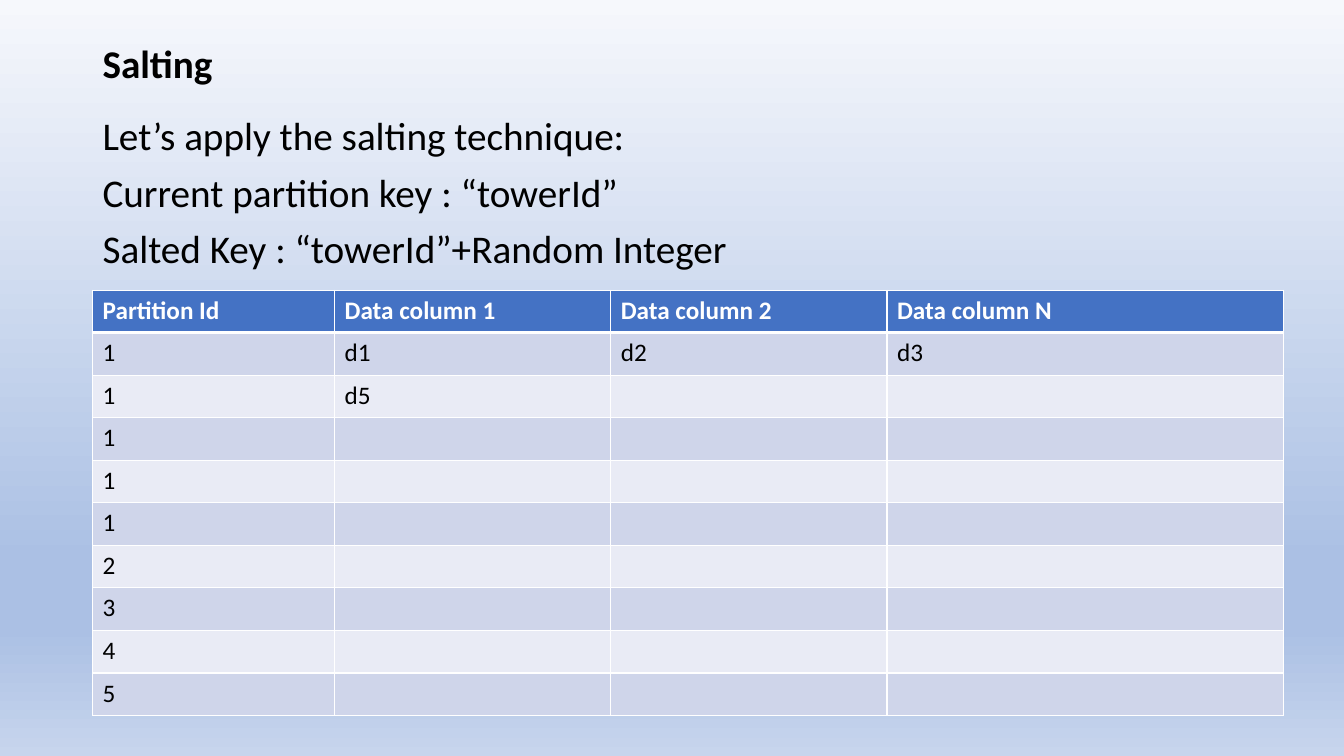
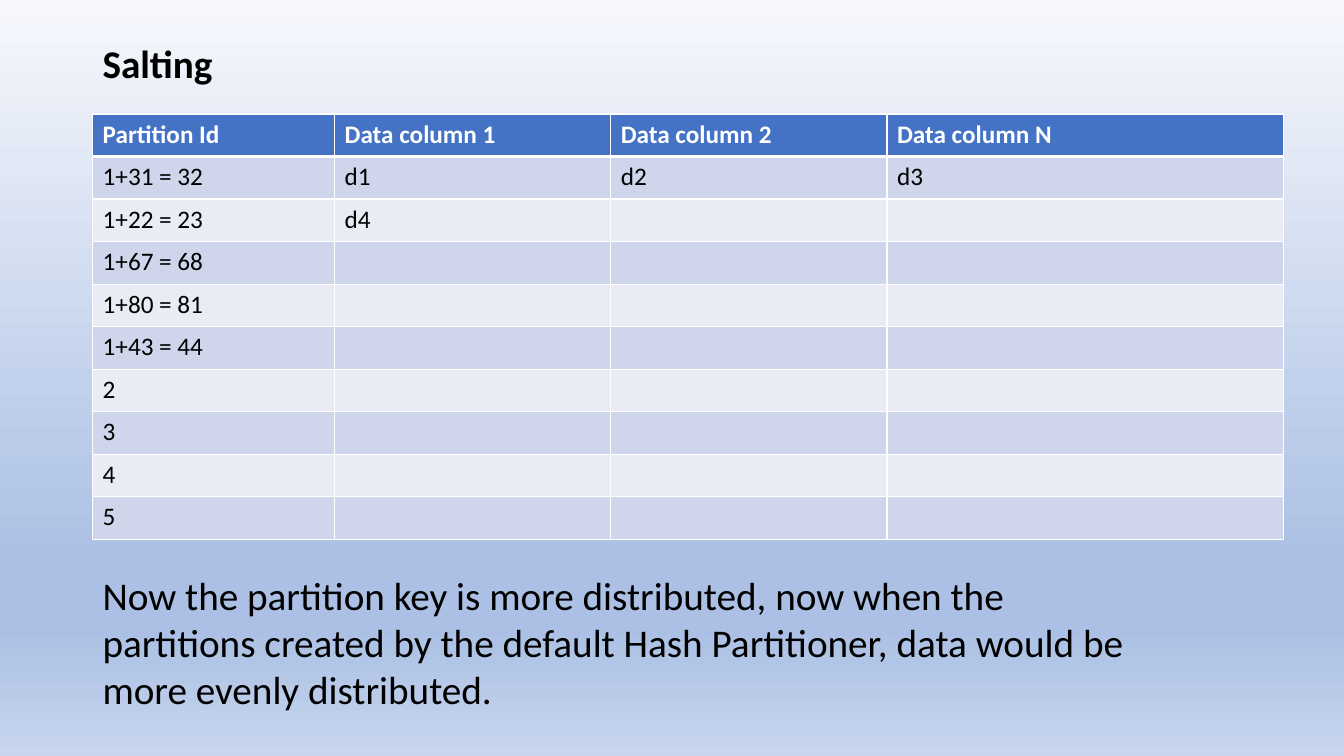
from dataclasses import dataclass

from lxml.etree import SubElement
from pptx import Presentation
from pptx.dml.color import RGBColor
from pptx.enum.text import MSO_ANCHOR
from pptx.oxml.ns import qn
from pptx.presentation import Presentation as Deck
from pptx.slide import Slide
from pptx.table import _Cell
from pptx.text.text import TextFrame
from pptx.util import Pt

FONT = "Calibri"
BLACK, WHITE, HEADER_BLUE = "000000", "FFFFFF", "4472C4"
BANDS = ("CFD5EA", "E9EBF5")
BACKDROP = ((0, "F6F8FC"), (74, "ABC0E4"), (83, "ABC0E4"), (100, "C7D5ED"))
LEFT, TEXT_WIDTH = 66.2, 828
COLUMN_WIDTHS = (172.8, 197.3, 197.3, 283.5)
ROW_HEIGHT = 30.4
HEADINGS = ("Partition Id", "Data column 1", "Data column 2", "Data column N")


@dataclass(frozen=True)
class Box:
    """Position and size in points."""

    top: float
    height: float
    width: float = TEXT_WIDTH
    left: float = LEFT


@dataclass(frozen=True)
class Page:
    """One salting slide: a partition table and the prose beside it."""

    table_top: float
    partition_ids: tuple[str, ...]
    data_rows: tuple[tuple[str, ...], ...]
    prose: tuple[str, ...]
    prose_box: Box
    line_spacing: float


PAGES = (
    Page(
        table_top=207.2,
        partition_ids=("1", "1", "1", "1", "1", "2", "3", "4", "5"),
        data_rows=(("d1", "d2", "d3"), ("d5",)),
        prose=(
            "Let’s apply the salting technique:",
            "Current partition key : “towerId”",
            "Salted Key : “towerId”+Random Integer",
        ),
        prose_box=Box(top=80, height=448.6),
        line_spacing=0.9,
    ),
    Page(
        table_top=81.4,
        partition_ids=("1+31 = 32", "1+22 = 23", "1+67 = 68", "1+80 = 81",
                       "1+43 = 44", "2", "3", "4", "5"),
        data_rows=(("d1", "d2", "d3"), ("d4",)),
        prose=(
            "Now the partition key is more distributed, now when the partitions "
            "created by the default Hash Partitioner, data would be more evenly "
            "distributed.",
        ),
        prose_box=Box(top=404.6, height=108.7, width=748),
        line_spacing=1.0,
    ),
)


def rgb(value: str) -> RGBColor:
    """Turn a hex string into a colour."""
    return RGBColor.from_string(value)


def write_text(frame: TextFrame, *lines: str, size: float = 28, color: str = BLACK,
               bold: bool = False, line_spacing: float = 1.0, gap: float = 10) -> None:
    """Fill a text frame with one formatted paragraph per line."""
    for index, line in enumerate(lines):
        paragraph = frame.add_paragraph() if index else frame.paragraphs[0]
        paragraph.line_spacing = line_spacing
        paragraph.space_before = Pt(gap if index else 0)
        run = paragraph.add_run()
        run.text = line
        run.font.name, run.font.size, run.font.bold = FONT, Pt(size), bold
        run.font.color.rgb = rgb(color)


def add_frame(slide: Slide, box: Box) -> TextFrame:
    """Add a wrapping text box and return its text frame."""
    frame = slide.shapes.add_textbox(
        Pt(box.left), Pt(box.top), Pt(box.width), Pt(box.height)).text_frame
    frame.word_wrap = True
    return frame


def set_borders(cell: _Cell, top: float = 1, bottom: float = 1) -> None:
    """Draw white borders around a cell, with widths in points."""
    properties = cell._tc.get_or_add_tcPr()
    for side, width in (("L", 1), ("R", 1), ("T", top), ("B", bottom)):
        line = SubElement(properties, qn(f"a:ln{side}"), w=str(Pt(width)))
        SubElement(SubElement(line, qn("a:solidFill")), qn("a:srgbClr"), val=WHITE)


def add_partition_table(slide: Slide, page: Page) -> None:
    """Add the banded table of partition ids and data columns."""
    blank_rows = ((),) * (len(page.partition_ids) - len(page.data_rows))
    rows = [HEADINGS] + [(key, *data) for key, data
                         in zip(page.partition_ids, page.data_rows + blank_rows)]
    table = slide.shapes.add_table(
        len(rows), len(HEADINGS), Pt(LEFT), Pt(page.table_top),
        Pt(sum(COLUMN_WIDTHS)), Pt(ROW_HEIGHT * len(rows))).table
    table.first_row = table.horz_banding = False
    for column, width in zip(table.columns, COLUMN_WIDTHS):
        column.width = Pt(width)
    for row_index, values in enumerate(rows):
        table.rows[row_index].height = Pt(ROW_HEIGHT)
        is_header = row_index == 0
        fill = HEADER_BLUE if is_header else BANDS[(row_index - 1) % 2]
        for column_index in range(len(HEADINGS)):
            cell = table.cell(row_index, column_index)
            set_borders(cell, top=3 if row_index == 1 else 1, bottom=3 if is_header else 1)
            cell.fill.solid()
            cell.fill.fore_color.rgb = rgb(fill)
            write_text(cell.text_frame, *values[column_index:column_index + 1], size=18,
                       color=WHITE if is_header else BLACK, bold=is_header)


def set_backdrop(deck: Deck) -> None:
    """Give the master a vertical gradient that every slide inherits."""
    master = deck.slide_master
    master.background.fill.gradient()
    gradient = next(master.element.iter(qn("a:gradFill")))
    for child in list(gradient):
        gradient.remove(child)
    stops = SubElement(gradient, qn("a:gsLst"))
    for percent, color in BACKDROP:
        stop = SubElement(stops, qn("a:gs"), pos=str(percent * 1000))
        SubElement(stop, qn("a:srgbClr"), val=color)
    SubElement(gradient, qn("a:lin"), ang="5400000", scaled="0")


def add_page(deck: Deck, page: Page) -> None:
    """Add one slide with its title, prose and table."""
    slide = deck.slides.add_slide(deck.slide_layouts[6])
    title = add_frame(slide, Box(top=28.8, height=36))
    title.vertical_anchor = MSO_ANCHOR.MIDDLE
    write_text(title, "Salting", bold=True, line_spacing=0.9)
    write_text(add_frame(slide, page.prose_box), *page.prose,
               line_spacing=page.line_spacing)
    add_partition_table(slide, page)


def main() -> None:
    """Build and save the presentation."""
    deck = Presentation()
    deck.slide_width, deck.slide_height = Pt(960), Pt(540)
    set_backdrop(deck)
    for page in PAGES:
        add_page(deck, page)
    deck.save("out.pptx")


if __name__ == "__main__":
    main()
